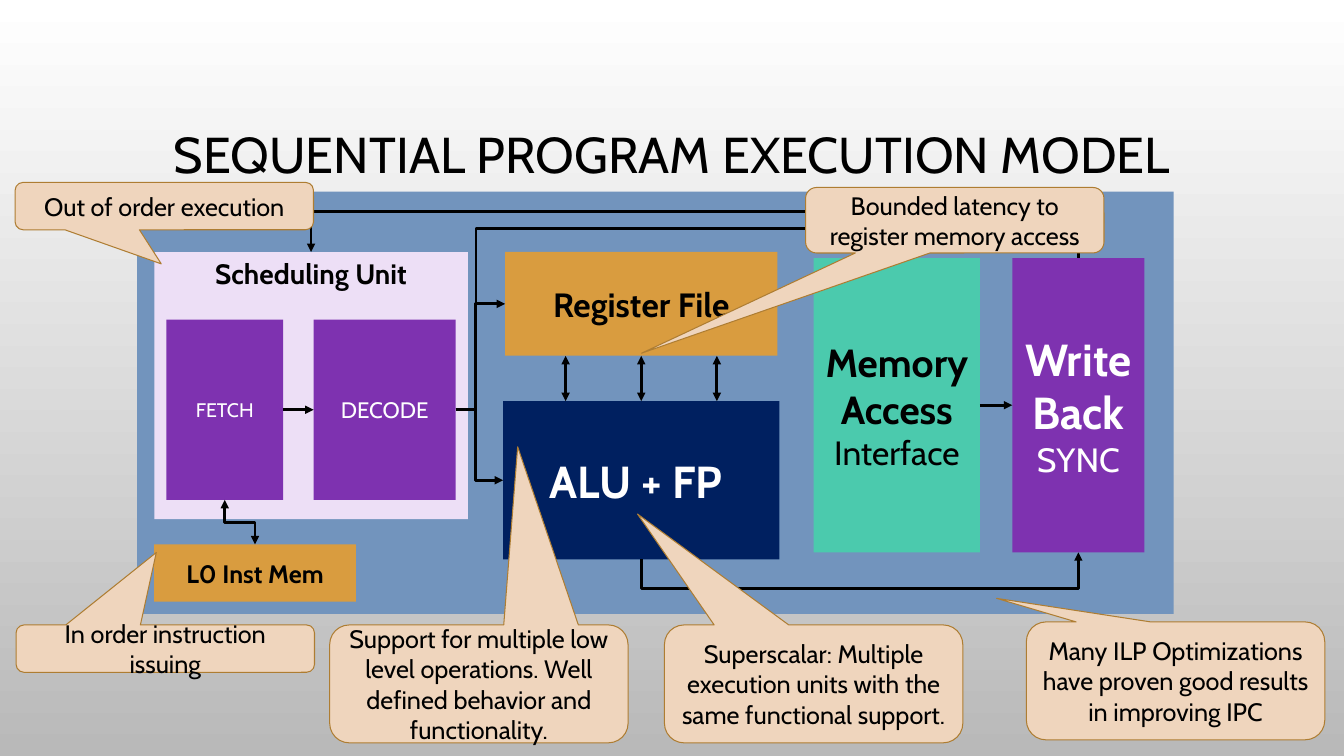
from lxml import etree
from pptx import Presentation
from pptx import util as u
from pptx.dml.color import RGBColor
from pptx.enum import shapes, text
from pptx.oxml.ns import qn

PX = 9144
FONT = "Cabin"
BLACK = RGBColor(0x00, 0x00, 0x00)
WHITE = RGBColor(0xFF, 0xFF, 0xFF)
GRAY = RGBColor(0xB9, 0xB9, 0xB9)
STEEL = RGBColor(0x72, 0x94, 0xBD)
ORANGE = RGBColor(0xD9, 0x9C, 0x3F)
NAVY = RGBColor(0x00, 0x20, 0x60)
PURPLE = RGBColor(0x7E, 0x32, 0xB0)
TEAL = RGBColor(0x4B, 0xCA, 0xAD)
LILAC = RGBColor(0xED, 0xDF, 0xF6)
PEACH = RGBColor(0xEF, 0xD5, 0xBD)
BROWN = RGBColor(0xAE, 0x7D, 0x32)

TITLE = "SEQUENTIAL PROGRAM EXECUTION MODEL"

# Each paragraph is a list of (words, points, bold) runs.
UNITS = {
    "core": ((136, 190, 1028, 419), STEEL, BLACK, []),
    "registers": ((501, 250, 270, 103), ORANGE, BLACK, [[("Register File", 24, True)]]),
    "alu": ((499, 398, 274, 157), NAVY, WHITE, [[("ALU + FP ", 32, True)]]),
    "write_back": ((1004, 256, 131, 292), PURPLE, WHITE,
                   [[("Write Back", 32, True)], [("SYNC", 24, False)]]),
    "memory": ((807, 256, 165, 292), TEAL, BLACK,
               [[("Memory Access", 28, True), (" ", 24, True), ("Interface", 24, False)]]),
    "scheduler": ((153, 250, 311, 265), LILAC, BLACK, [[("Scheduling Unit", 20, True)]]),
    "fetch": ((165, 317, 116, 179), PURPLE, WHITE, [[("FETCH", 14, False)]]),
    "decode": ((311, 317, 141, 179), PURPLE, WHITE, [[("DECODE", 16, False)]]),
    "inst_mem": ((153, 540, 200, 57), ORANGE, BLACK, [[("L0 Inst Mem", 18, True)]]),
}

TOP, LEFT, BOTTOM, RIGHT = range(4)
DECODE_BUS = 472
ROUTES = [
    ("decode", RIGHT, "memory", TOP, {"bend_x": DECODE_BUS, "bend_y": 227}),
    ("memory", RIGHT, "write_back", LEFT, {}),
    ("fetch", RIGHT, "decode", LEFT, {}),
    ("inst_mem", TOP, "fetch", BOTTOM, {"bend_y": 518, "both": True}),
    ("decode", RIGHT, "alu", LEFT, {"bend_x": DECODE_BUS}),
    ("decode", RIGHT, "registers", LEFT, {"bend_x": DECODE_BUS}),
    ("alu", TOP, "registers", BOTTOM, {"both": True}),
    ("alu", BOTTOM, "write_back", BOTTOM, {"bend_y": 584}),
    ("write_back", TOP, "scheduler", TOP, {"bend_y": 210}),
]
OUTER_REGISTER_PORTS = (561, 711)

CALLOUTS = [
    ("In order instruction issuing", (16, 620, 296, 47), (-0.03, -2.03)),
    ("Out of order execution", (15, 181, 296, 47), (-0.01, 1.22)),
    ("Support for multiple low level operations. Well defined behavior and functionality.",
     (327, 620, 296, 117), (0.13, -2.01)),
    ("Bounded latency to register memory access", (799, 186, 296, 65), (-1.05, 2.03)),
    ("Superscalar: Multiple execution units with the same functional support.",
     (659, 620, 296, 117), (-0.59, -1.44)),
    ("Many ILP Optimizations have proven good results in improving IPC",
     (1018, 617, 296, 117), (-0.6, -0.7)),
]

deck = Presentation()
deck.slide_width, deck.slide_height = 1333 * PX, 750 * PX
slide = deck.slides.add_slide(deck.slide_layouts[6])


def write(holder, paragraphs, color=BLACK, anchor=text.MSO_ANCHOR.MIDDLE, spacing=None, inset=None):
    frame = holder.text_frame
    frame.word_wrap = True
    frame.vertical_anchor = anchor
    if inset is not None:
        frame.margin_left = frame.margin_right = frame.margin_top = frame.margin_bottom = inset
    for index, runs in enumerate(paragraphs):
        paragraph = frame.add_paragraph() if index else frame.paragraphs[0]
        paragraph.alignment = text.PP_ALIGN.CENTER
        paragraph.line_spacing = spacing
        for words, points, bold in runs:
            run = paragraph.add_run()
            run.text = words
            run.font.name, run.font.size, run.font.bold = FONT, u.Pt(points), bold
            run.font.color.rgb = color


def block(kind, box, fill, outline=None):
    shape = slide.shapes.add_shape(kind, *(side * PX for side in box))
    shape.shadow.inherit = False
    shape.fill.solid()
    shape.fill.fore_color.rgb = fill
    if outline is None:
        shape.line.fill.background()
    else:
        shape.line.color.rgb = outline
        shape.line.width = u.Pt(0.75)
    return shape


def arrow(kind, both=False, ends=(0, 0, 0, 0)):
    wire = slide.shapes.add_connector(kind, *(end * PX for end in ends))
    wire.line.color.rgb = BLACK
    wire.line.width = u.Pt(2)
    line = wire.line._get_or_add_ln()
    for tag in ("a:headEnd", "a:tailEnd") if both else ("a:tailEnd",):
        etree.SubElement(line, qn(tag), type="triangle")
    etree.SubElement(wire._element.spPr, qn("a:effectLst"))
    return wire


def turn_upright(wire, x0, y0, x1, y1):
    center_x, center_y = (x0 + x1) // 2, (y0 + y1) // 2
    half_x, half_y = (x1 - x0) // 2, (y1 - y0) // 2
    wire.begin_x, wire.end_x = center_x - half_y, center_x + half_y
    wire.begin_y, wire.end_y = center_y + half_x, center_y - half_x
    wire._element.spPr.find(qn("a:xfrm")).set("rot", "5400000")


def route(source, source_side, target, target_side, bend_x=None, bend_y=None, both=False):
    bent = bend_x is not None or bend_y is not None
    kind = shapes.MSO_CONNECTOR.ELBOW if bent else shapes.MSO_CONNECTOR.STRAIGHT
    wire = arrow(kind, both)
    wire.begin_connect(source, source_side)
    wire.end_connect(target, target_side)
    if not bent:
        return
    x0, y0, x1, y1 = wire.begin_x, wire.begin_y, wire.end_x, wire.end_y
    ratios = []
    if bend_x is not None:
        ratios.append((bend_x * PX - x0) / (x1 - x0))
    if bend_y is not None:
        ratios.append((bend_y * PX - y0) / (y1 - y0))
    if bend_x is None:
        turn_upright(wire, x0, y0, x1, y1)
    geometry = wire._element.spPr.find(qn("a:prstGeom"))
    geometry.set("prst", f"bentConnector{len(ratios) + 2}")
    guides = geometry.find(qn("a:avLst"))
    for number, ratio in enumerate(ratios, 1):
        etree.SubElement(guides, qn("a:gd"), name=f"adj{number}", fmla=f"val {round(ratio * 100000)}")


def main():
    backdrop = slide.background.fill
    backdrop.gradient()
    backdrop.gradient_angle = 270
    for stop, position, color in zip(backdrop.gradient_stops, (0, 1), (WHITE, GRAY)):
        stop.position, stop.color.rgb = position, color

    title = slide.shapes.add_textbox(*(side * PX for side in (100, 68, 1133, 175)))
    write(title, [[(TITLE, 36, False)]], spacing=0.9)

    units = {}
    for name, (box, fill, ink, paragraphs) in UNITS.items():
        units[name] = block(shapes.MSO_SHAPE.RECTANGLE, box, fill)
        anchor = text.MSO_ANCHOR.TOP if name == "scheduler" else text.MSO_ANCHOR.MIDDLE
        write(units[name], paragraphs, color=ink, anchor=anchor, inset=0 if name == "alu" else None)

    for source, source_side, target, target_side, bends in ROUTES:
        route(units[source], source_side, units[target], target_side, **bends)
    for port in OUTER_REGISTER_PORTS:
        arrow(shapes.MSO_CONNECTOR.STRAIGHT, both=True, ends=(port, 398, port, 353))

    for words, box, tip in CALLOUTS:
        callout = block(shapes.MSO_SHAPE.ROUNDED_RECTANGULAR_CALLOUT, box, PEACH, BROWN)
        callout.adjustments[0], callout.adjustments[1] = tip
        write(callout, [[(words, 18, False)]])

    deck.save("out.pptx")


if __name__ == "__main__":
    main()
